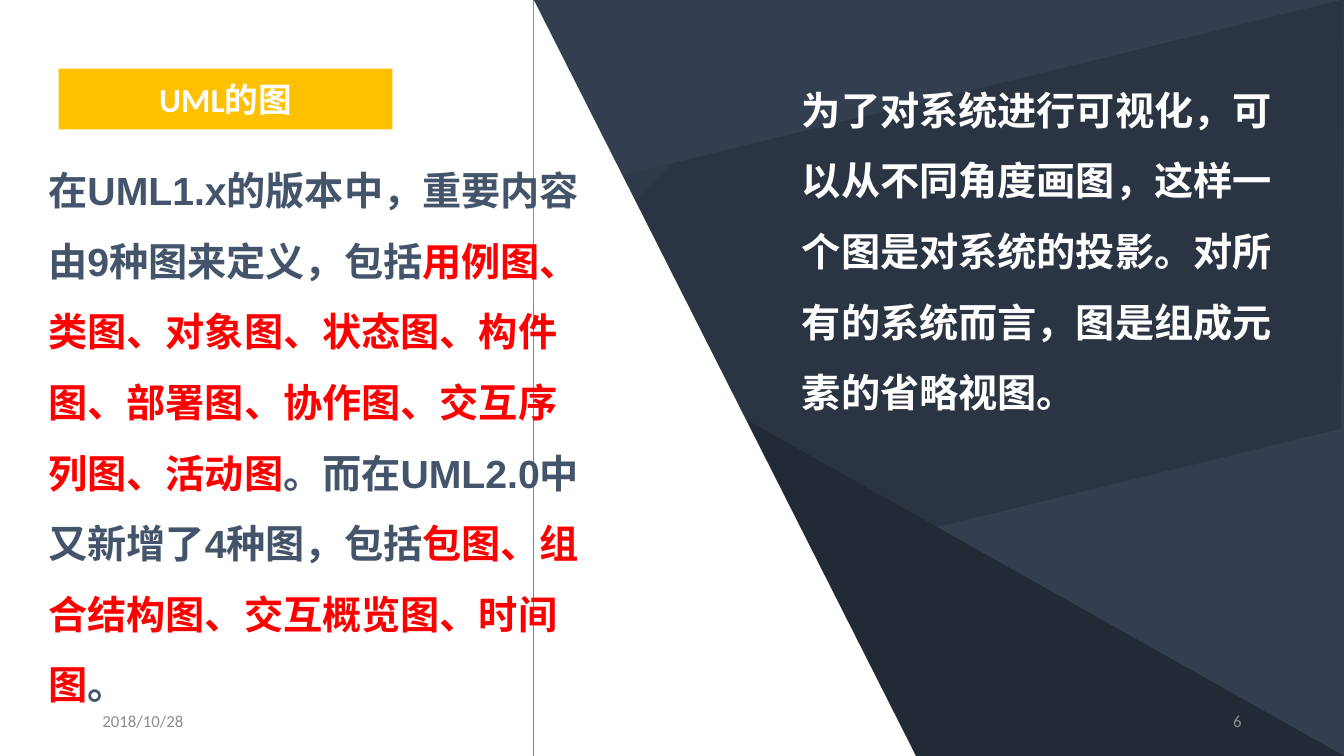
from lxml import etree
from pptx import Presentation
from pptx import util as u
from pptx.dml.color import RGBColor
from pptx.enum import shapes, text
from pptx.oxml.ns import qn

SLATE = RGBColor(0x33, 0x3F, 0x50)
NIGHT = RGBColor(0x22, 0x2A, 0x35)
WHITE = RGBColor(0xFF, 0xFF, 0xFF)
AMBER = RGBColor(0xFF, 0xC0, 0x00)
INK = RGBColor(0x44, 0x54, 0x6A)
RED = RGBColor(0xFF, 0x00, 0x00)
GREY = RGBColor(0x8C, 0x8C, 0x8C)

WIDTH, HEIGHT = 33.87, 19.05
FOOTER_TOP, FOOTER_WIDTH, FOOTER_HEIGHT = 17.65, 7.62, 1.02


class UmlSlide:
    """Holds the current slide and its text style; all positions are in cm."""

    def __init__(self, deck, background):
        self.slide = deck.slides.add_slide(deck.slide_layouts[5])
        self.slide.background.fill.solid()
        self.slide.background.fill.fore_color.rgb = background

    def facet(self, kind, box, color, rotation=0, adjust=None, alpha=None):
        """Adds a borderless background shape; alpha is an opacity percentage."""
        facet = self.slide.shapes.add_shape(kind, *map(u.Cm, box))
        facet.shadow.inherit = False
        facet.line.fill.background()
        facet.fill.solid()
        facet.fill.fore_color.rgb = color
        facet.rotation = rotation
        if adjust is not None:
            facet.adjustments[0] = adjust
        if alpha is not None:
            rgb = facet.element.spPr.find(".//" + qn("a:srgbClr"))
            etree.SubElement(rgb, qn("a:alpha")).set("val", str(alpha * 1000))

    def add_runs(self, paragraph, runs, font, size, bold):
        for wording, color in runs:
            run = paragraph.add_run()
            run.text = wording
            run.font.name = font
            run.font.size = u.Pt(size)
            run.font.bold = bold
            run.font.color.rgb = color

    def title(self, box, wording):
        title = self.slide.shapes.title
        title.left, title.top, title.width, title.height = map(u.Cm, box)
        title.fill.solid()
        title.fill.fore_color.rgb = AMBER
        title.text_frame.auto_size = text.MSO_AUTO_SIZE.NONE
        title.text_frame.vertical_anchor = text.MSO_ANCHOR.MIDDLE
        paragraph = title.text_frame.paragraphs[0]
        paragraph.alignment = text.PP_ALIGN.CENTER
        self.add_runs(paragraph, [(wording, WHITE)], "Calibri", 24, True)
        # Bring the title in front of the background facets.
        title.element.getparent().append(title.element)

    def text_box(self, box):
        frame = self.slide.shapes.add_textbox(*map(u.Cm, box)).text_frame
        frame.word_wrap = True
        return frame

    def body(self, box, runs, font):
        frame = self.text_box(box)
        frame.auto_size = text.MSO_AUTO_SIZE.SHAPE_TO_FIT_TEXT
        frame.paragraphs[0].line_spacing = 1.5
        self.add_runs(frame.paragraphs[0], runs, font, 28, True)

    def footer(self, left, wording, alignment):
        frame = self.text_box((left, FOOTER_TOP, FOOTER_WIDTH, FOOTER_HEIGHT))
        frame.vertical_anchor = text.MSO_ANCHOR.MIDDLE
        frame.paragraphs[0].alignment = alignment
        self.add_runs(frame.paragraphs[0], [(wording, GREY)], "Calibri", 12, False)


def main():
    deck = Presentation()
    deck.slide_width, deck.slide_height = u.Cm(WIDTH), u.Cm(HEIGHT)
    page = UmlSlide(deck, SLATE)

    triangle = shapes.MSO_SHAPE.ISOSCELES_TRIANGLE
    page.facet(triangle, (0, 0, WIDTH, HEIGHT), NIGHT, adjust=0)
    page.facet(shapes.MSO_SHAPE.PARALLELOGRAM, (-1.8, 4.27, 37.44, 10.49),
               NIGHT, rotation=346.3, alpha=50)
    page.facet(triangle, (3, -2.95, 13.74, 28.24), SLATE,
               rotation=199.1, adjust=1, alpha=50)
    page.facet(shapes.MSO_SHAPE.RECTANGLE, (0, 0, 13.44, HEIGHT), WHITE)
    page.facet(triangle, (8.74, 4.71, HEIGHT, 9.63), WHITE, rotation=90, adjust=1)

    page.title((1.48, 1.73, 8.41, 1.53), "UML的图")
    page.body((19.96, 1.45, 12.47, 9.04), [
        ("为了对系统进行可视化，可以从不同角度画图，这样一个图是对系统的投影。"
         "对所有的系统而言，图是组成元素的省略视图。", WHITE),
    ], "Calibri")
    page.body((0.97, 3.48, 14.22, 14.63), [
        ("在UML1.x的版本中，重要内容由9种图来定义，包括", INK),
        ("用例图、类图、对象图、状态图、构件图、部署图、协作图、交互序列图、活动图", RED),
        ("。而在UML2.0中又新增了4种图，包括", INK),
        ("包图、组合结构图、交互概览图、时间图", RED),
        ("。", INK),
    ], "Arial")
    page.footer(2.33, "2018/10/28", text.PP_ALIGN.LEFT)
    page.footer(23.92, "6", text.PP_ALIGN.RIGHT)

    deck.save("out.pptx")


if __name__ == "__main__":
    main()
